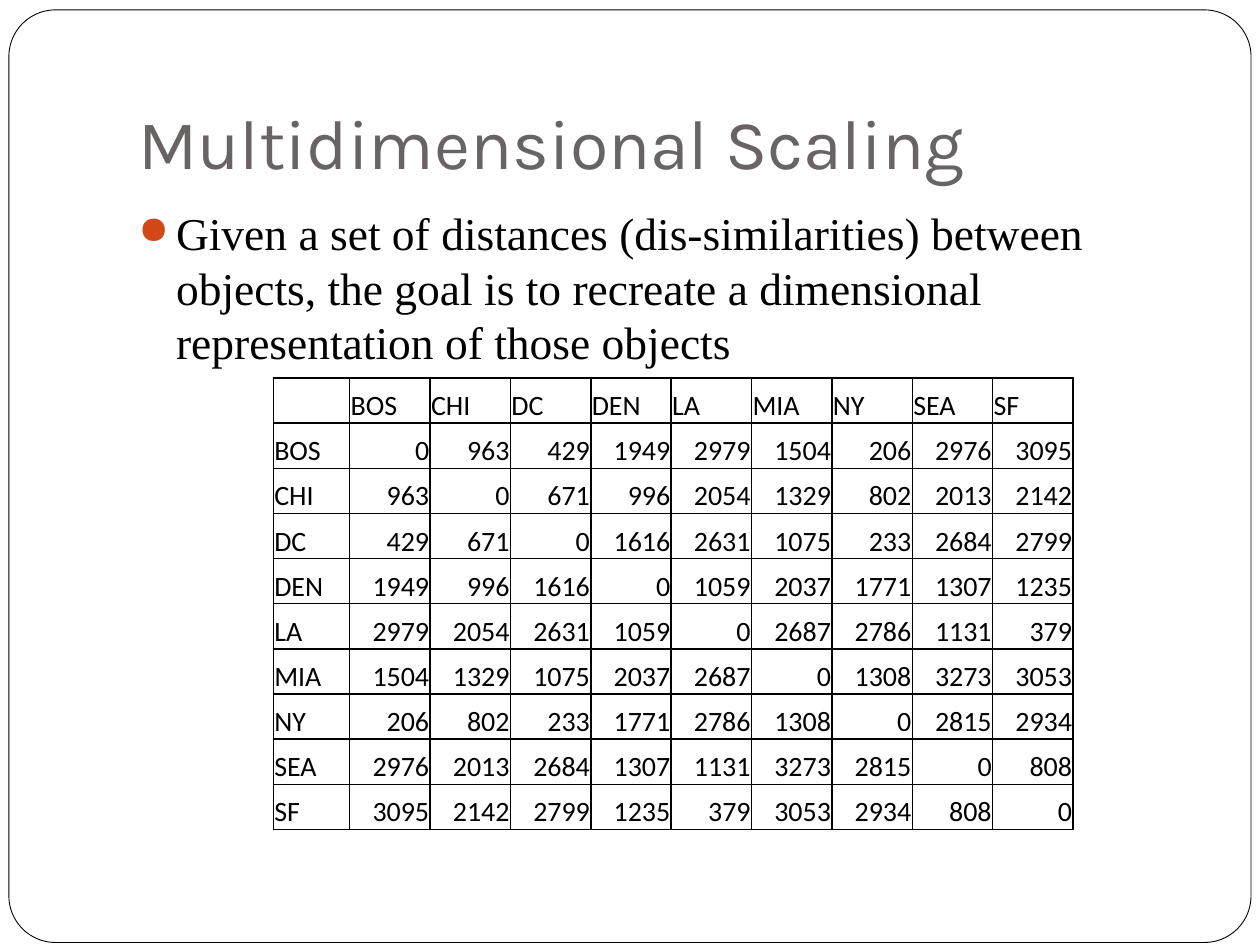
"""Build a slide on multidimensional scaling with a table of city distances."""
from dataclasses import dataclass

from lxml import etree
from pptx import Presentation
from pptx.dml.color import RGBColor
from pptx.enum.shapes import MSO_SHAPE
from pptx.enum.text import MSO_ANCHOR, PP_ALIGN
from pptx.oxml.ns import qn
from pptx.util import Cm, Pt

BLACK = RGBColor(0x00, 0x00, 0x00)
WHITE = RGBColor(0xFF, 0xFF, 0xFF)
GREY = RGBColor(0x69, 0x64, 0x64)
ORANGE = RGBColor(0xD3, 0x48, 0x17)
ROUNDED = MSO_SHAPE.ROUNDED_RECTANGLE
TOP, BOTTOM = MSO_ANCHOR.TOP, MSO_ANCHOR.BOTTOM
LEFT, RIGHT = PP_ALIGN.LEFT, PP_ALIGN.RIGHT

CITIES = ["BOS", "CHI", "DC", "DEN", "LA", "MIA", "NY", "SEA", "SF"]
UPPER_DISTANCES = [
    [963, 429, 1949, 2979, 1504, 206, 2976, 3095],
    [671, 996, 2054, 1329, 802, 2013, 2142],
    [1616, 2631, 1075, 233, 2684, 2799],
    [1059, 2037, 1771, 1307, 1235],
    [2687, 2786, 1131, 379],
    [1308, 3273, 3053],
    [2815, 2934],
    [808],
]
FIRST_COLUMN, COLUMN, ROW = Cm(1.54), Cm(1.62), Cm(0.91)


@dataclass
class TextStyle:
    """Font of a piece of text."""
    name: str
    size: float
    color: RGBColor


@dataclass
class TextBlock:
    """Text with its place on the slide, in centimetres."""
    text: str
    place: tuple[float, float, float, float]
    style: TextStyle
    anchor: MSO_ANCHOR
    bottom_margin: float


CELL_STYLE = TextStyle("Calibri", 16, BLACK)
TITLE = TextBlock("Multidimensional Scaling", (2.54, 0.76, 21.59, 3.18),
                  TextStyle("Karla", 40, GREY), BOTTOM, 0.25)
BODY = TextBlock(
    "Given a set of distances (dis-similarities) between objects, the goal "
    "is to recreate a dimensional representation of those objects",
    (2.54, 4.01, 21.59, 12.7), TextStyle("Times New Roman", 26, BLACK), TOP, 0.13)


def apply(target, values: dict) -> None:
    """Set each named attribute on the target."""
    for name, value in values.items():
        setattr(target, name, value)


def write(para, text: str, style: TextStyle) -> None:
    """Add one styled span to a paragraph."""
    span = para.add_run()
    span.text = text
    apply(span.font, {"name": style.name, "size": Pt(style.size)})
    span.font.color.rgb = style.color


def add_frame(page) -> None:
    """Draw the rounded border of the slide."""
    frame = page.shapes.add_shape(ROUNDED, Cm(0.18), Cm(0.2), Cm(25.04), Cm(18.8))
    frame.adjustments[0] = 0.05
    frame.shadow.inherit = False
    frame.fill.solid()
    frame.fill.fore_color.rgb = WHITE
    frame.line.color.rgb = BLACK
    frame.line.width = Pt(0.5)


def add_text(page, block: TextBlock):
    """Place a text block and return its paragraph."""
    box = page.shapes.add_textbox(*(Cm(length) for length in block.place))
    apply(box.text_frame, {
        "word_wrap": True, "vertical_anchor": block.anchor,
        "margin_left": Cm(0.25), "margin_right": Cm(0.25),
        "margin_top": Cm(0.13), "margin_bottom": Cm(block.bottom_margin)})
    para = box.text_frame.paragraphs[0]
    write(para, block.text, block.style)
    return para


def add_bullet(para) -> None:
    """Give a paragraph a hanging orange bullet."""
    para.space_before = Pt(5.8)
    properties = para._p.get_or_add_pPr()
    properties.set("marL", str(Cm(0.76)))
    properties.set("indent", str(-Cm(0.76)))
    color = etree.SubElement(properties, qn("a:buClr"))
    etree.SubElement(color, qn("a:srgbClr"), val=str(ORANGE))
    etree.SubElement(properties, qn("a:buSzPct"), val="85000")
    etree.SubElement(properties, qn("a:buChar"), char="●")


def add_borders(cell) -> None:
    """Draw a thin black line on all four sides of a cell."""
    properties = cell._tc.get_or_add_tcPr()
    for position, side in enumerate(("a:lnL", "a:lnR", "a:lnT", "a:lnB")):
        line = etree.Element(qn(side), w=str(Pt(1)))
        fill = etree.SubElement(line, qn("a:solidFill"))
        etree.SubElement(fill, qn("a:srgbClr"), val=str(BLACK))
        properties.insert(position, line)


def distance(first: int, second: int) -> int:
    """Look up the symmetric distance between two cities."""
    low, high = sorted((first, second))
    return UPPER_DISTANCES[low][high - low - 1] if low != high else 0


def add_distance_table(page) -> None:
    """Build the table of distances between all cities."""
    count = len(CITIES) + 1
    table = page.shapes.add_table(
        count, count, Cm(5.51), Cm(7.62),
        FIRST_COLUMN + COLUMN * len(CITIES), ROW * count).table
    apply(table, {"first_row": False, "horz_banding": False})
    for index in range(count):
        table.rows[index].height = ROW
        table.columns[index].width = COLUMN if index else FIRST_COLUMN
    rows = [["", *CITIES]]
    for index, city in enumerate(CITIES):
        rows.append([city, *(str(distance(index, other)) for other in range(len(CITIES)))])
    for row, values in enumerate(rows):
        for column, value in enumerate(values):
            cell = table.cell(row, column)
            apply(cell, {
                "vertical_anchor": BOTTOM, "margin_left": Cm(0.02),
                "margin_right": Cm(0.02), "margin_top": Cm(0.02), "margin_bottom": 0})
            cell.fill.background()
            add_borders(cell)
            para = cell.text_frame.paragraphs[0]
            para.alignment = RIGHT if row and column else LEFT
            if value:
                write(para, value, CELL_STYLE)


def main() -> None:
    """Assemble and save the deck."""
    deck = Presentation()
    apply(deck, {"slide_width": Cm(25.4), "slide_height": Cm(19.05)})
    page = deck.slides.add_slide(deck.slide_layouts[6])
    add_frame(page)
    add_text(page, TITLE)
    add_bullet(add_text(page, BODY))
    add_distance_table(page)
    deck.save("out.pptx")


if __name__ == "__main__":
    main()
